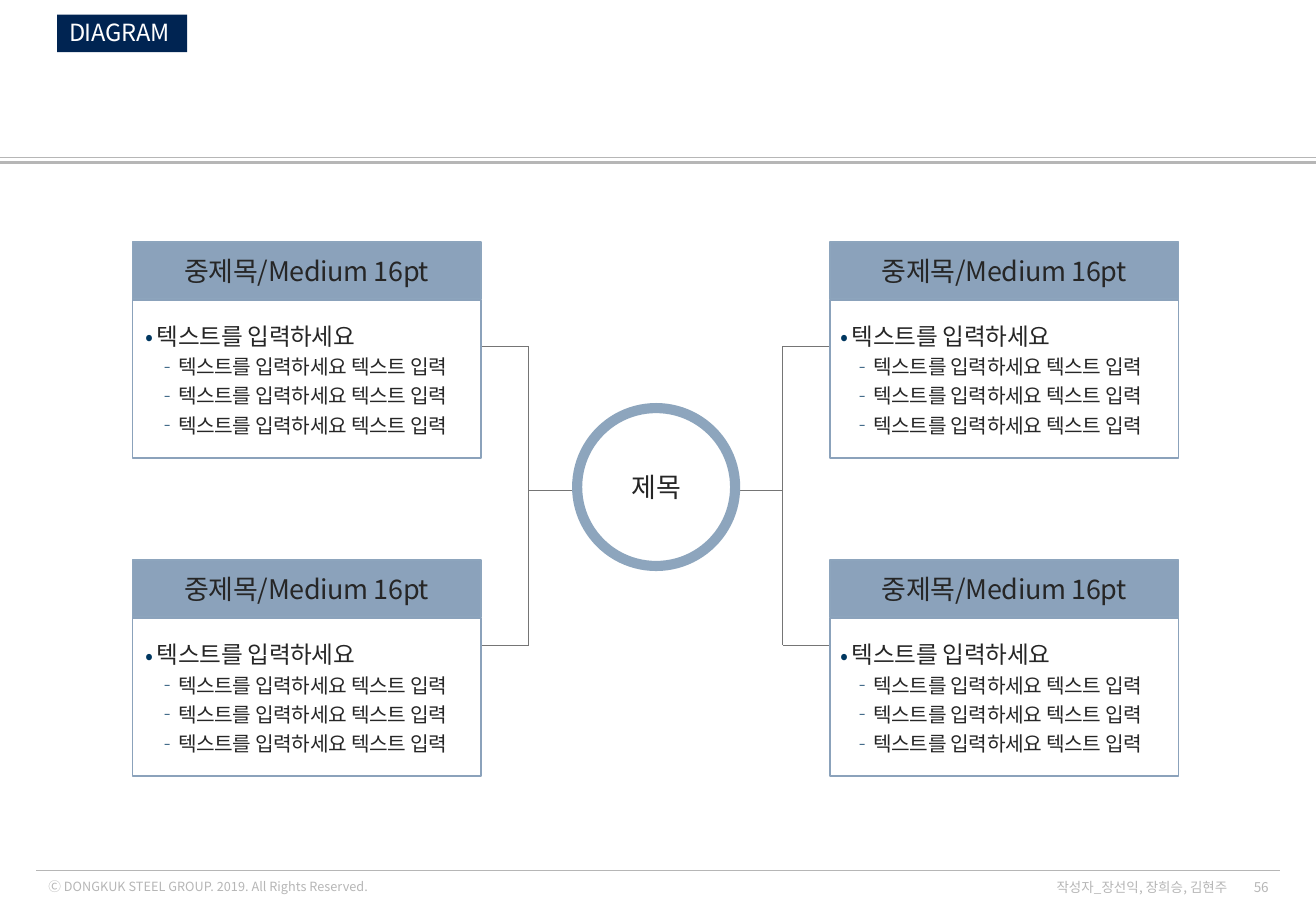
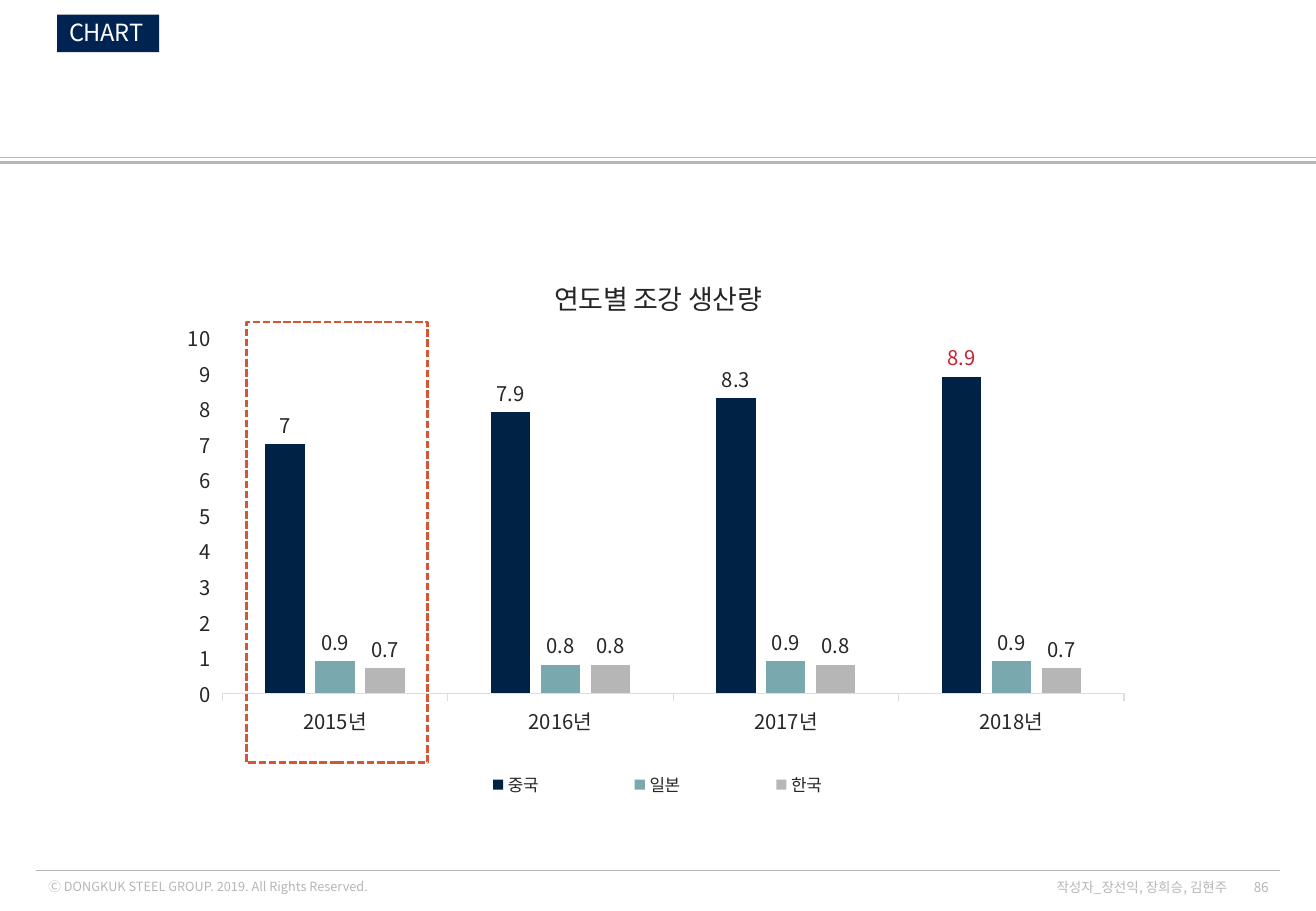
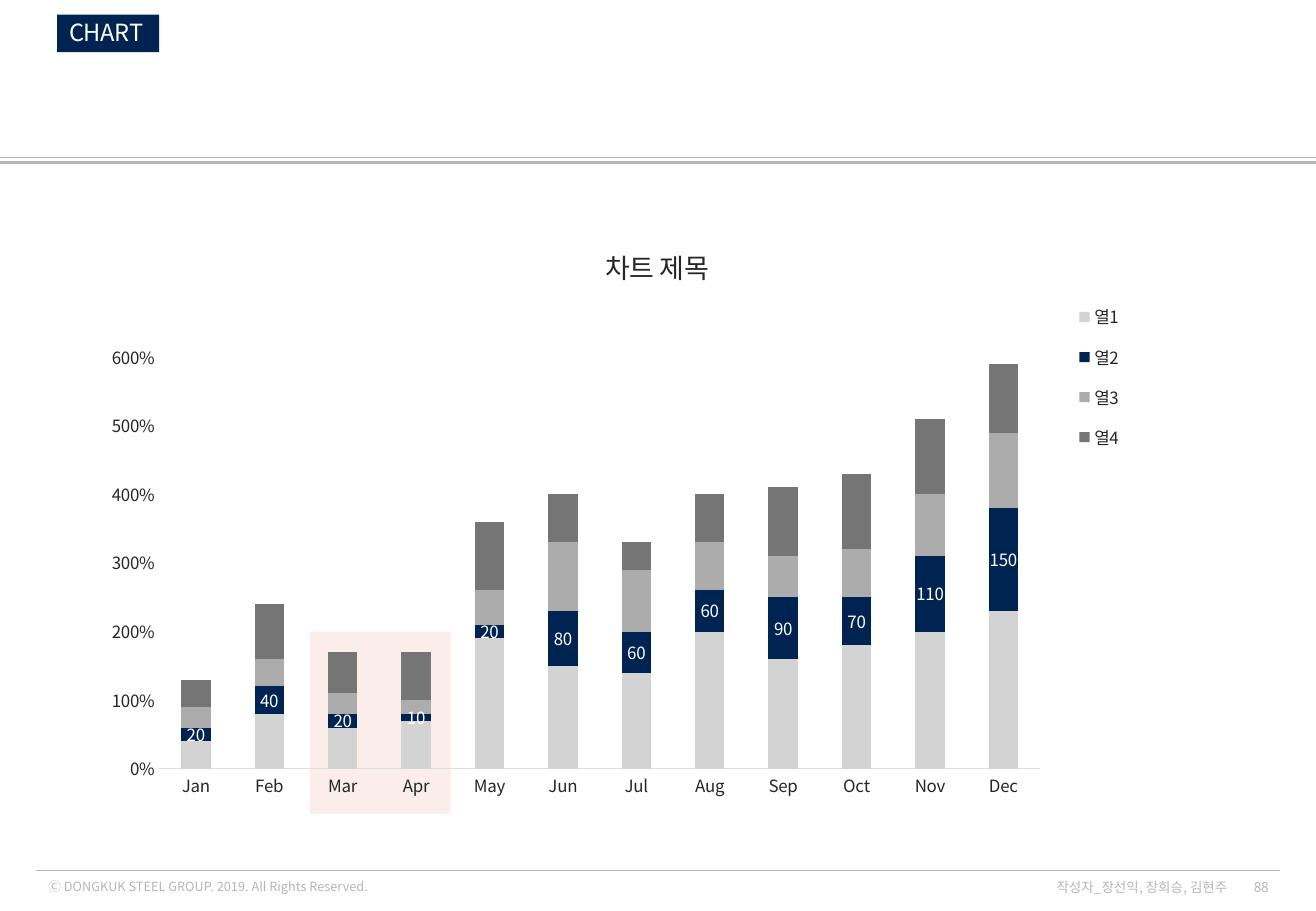
from lxml.etree import SubElement
from pptx import Presentation
from pptx.chart.data import CategoryChartData
from pptx.dml.color import RGBColor
from pptx.enum.chart import XL_CHART_TYPE, XL_LABEL_POSITION, XL_LEGEND_POSITION, XL_TICK_MARK
from pptx.enum.dml import MSO_LINE
from pptx.enum.shapes import MSO_CONNECTOR, MSO_SHAPE
from pptx.enum.text import MSO_ANCHOR, PP_ALIGN
from pptx.oxml import parse_xml
from pptx.oxml.ns import nsdecls, qn
from pptx.util import Inches, Pt

rgb = RGBColor.from_string
FONT = "Noto Sans CJK KR"
NAVY, STEEL, STEEL_EDGE = "002452", "8BA2BB", "8DA5BD"
INK, GREY, DARK_GREY, AXIS = "262626", "B6B6B6", "757575", "DEDEDE"
ORANGE, WHITE = "D55633", "FFFFFF"


def box(slide, at, text="", shape=None, fill=None, line=None, width=1,
        size=16, color=INK, align=PP_ALIGN.LEFT, spacing=0):
    """Add a preset shape, or a text box when no shape is given."""
    at = [Inches(v) for v in at]
    sp = slide.shapes.add_shape(shape, *at) if shape else slide.shapes.add_textbox(*at)
    sp.shadow.inherit = False
    for paint, value in ((sp.fill, fill), (sp.line.fill, line)):
        if value:
            paint.solid()
            paint.fore_color.rgb = rgb(value)
        else:
            paint.background()
    if line:
        sp.line.width = Pt(width)
    tf = sp.text_frame
    tf.word_wrap, tf.vertical_anchor = True, MSO_ANCHOR.MIDDLE
    if text:
        tf.text = text
    for p in tf.paragraphs:
        p.alignment = align
        for r in p.runs:
            r.font.name, r.font.size = FONT, Pt(size)
            r.font.color.rgb = rgb(color)
            rPr = r.font._element
            rPr.set("spc", str(spacing))
            rPr.find(qn("a:latin")).addnext(
                parse_xml(f'<a:ea {nsdecls("a")} typeface="{FONT}"/>'))
    return sp


def place(el, index, at, chart_size, inner=False):
    """Give a chart part a manual layout; at and chart_size are in inches."""
    for old in el.findall(qn("c:layout")):
        el.remove(old)
    layout = parse_xml(f'<c:layout {nsdecls("c")}><c:manualLayout/></c:layout>')
    if inner:
        SubElement(layout[0], qn("c:layoutTarget"), val="inner")
    for mode in ("xMode", "yMode"):
        SubElement(layout[0], qn("c:" + mode), val="edge")
    for name, value, whole in zip("xywh", at, chart_size * 2):
        SubElement(layout[0], qn("c:" + name), val=str(value / whole))
    el.insert(index, layout)


prs = Presentation()
prs.slide_width, prs.slide_height = Inches(10.83), Inches(7.5)
blank = prs.slide_layouts[6]
for ph in list(blank.placeholders):
    ph.element.getparent().remove(ph.element)

# Tab and page number of each slide
slides = []
for title, tab_width, page in (("DIAGRAM", 1.07, 56), ("CHART", 0.84, 86), ("CHART", 0.84, 88)):
    s = prs.slides.add_slide(blank)
    tab = box(s, (0.47, 0.12, tab_width, 0.31), title, MSO_SHAPE.RECTANGLE, NAVY,
              size=14, color=WHITE, spacing=-20)
    tab.text_frame.word_wrap = False
    tab.text_frame.paragraphs[0].line_spacing = 0.9
    box(s, (10.13, 7.22, 0.41, 0.16), str(page), size=8, color=GREY, align=PP_ALIGN.RIGHT)
    slides.append(s)
diagram, yearly, monthly = slides

# Footer texts, moved to the layout that all slides use
for at, text, size, align in (
        ((0.3, 7.18, 3.47, 0.23), "Ⓒ DONGKUK STEEL GROUP. 2019. All Rights Reserved.", 7.5, PP_ALIGN.LEFT),
        ((8.52, 7.22, 1.68, 0.16), "작성자_장선익, 장희승, 김현주", 8, PP_ALIGN.RIGHT)):
    sp = box(diagram, at, text, size=size, color=GREY, align=align)
    blank.shapes.element.append(sp.element)

# Rules of the layout, then the brackets of the diagram
lines = [
    (blank, 0, 1.34, 10.83, 1.34, GREY, 1.5),
    (blank, 0, 1.3, 10.83, 1.3, GREY, 0.5),
    (blank, 0.3, 7.17, 10.53, 7.17, GREY, 0.5),
    (diagram, 4.35, 4.04, 6.44, 4.04, DARK_GREY, 0.5),
]
for trunk, card_edge in ((4.35, 3.95), (6.44, 6.83)):
    lines.append((diagram, trunk, 2.85, trunk, 5.31, DARK_GREY, 0.5))
    for y in (2.85, 5.31):
        lines.append((diagram, trunk, y, card_edge, y, DARK_GREY, 0.5))
for target, x1, y1, x2, y2, color, width in lines:
    c = diagram.shapes.add_connector(
        MSO_CONNECTOR.STRAIGHT, Inches(x1), Inches(y1), Inches(x2), Inches(y2))
    c.line.color.rgb, c.line.width = rgb(color), Pt(width)
    SubElement(c.element.spPr, qn("a:effectLst"))
    target.shapes.element.append(c.element)

# Slide 1: four cards around a circle
box(diagram, (4.75, 3.36, 1.3, 1.3), "제목", MSO_SHAPE.OVAL, WHITE, STEEL_EDGE, 6,
    align=PP_ALIGN.CENTER)
detail = "텍스트를 입력하세요 텍스트 입력"
card_text = "\n".join(["텍스트를 입력하세요"] + [detail] * 3)
for x, inset in ((1.09, 0.11), (6.83, 0.09)):
    for y in (1.99, 4.61):
        box(diagram, (x, y, 2.87, 0.47), "중제목/Medium 16pt", MSO_SHAPE.RECTANGLE,
            STEEL, STEEL_EDGE, align=PP_ALIGN.CENTER, spacing=-20)
        body = box(diagram, (x, y + 0.48, 2.87, 1.3), card_text, MSO_SHAPE.RECTANGLE,
                   WHITE, STEEL, size=12, spacing=-20)
        tf = body.text_frame
        tf.vertical_anchor = MSO_ANCHOR.TOP
        tf.margin_left, tf.margin_top = Inches(inset), Inches(0.13)
        for i, p in enumerate(tf.paragraphs):
            bullet, left, hang = ("‐", 0.2, 0.1) if i else ("•", 0.09, 0.09)
            p.level, p.line_spacing = (2 if i else 1), 1.2
            pPr = p._p.get_or_add_pPr()
            pPr.set("marL", str(Inches(left)))
            pPr.set("indent", str(-Inches(hang)))
            SubElement(SubElement(pPr, qn("a:buClr")), qn("a:srgbClr"), val="003760")
            SubElement(pPr, qn("a:buFont"), typeface=FONT)
            SubElement(pPr, qn("a:buChar"), char=bullet)
        tf.paragraphs[0].runs[0].font.size = Pt(14)

# Slide 3: highlight behind the chart
band = box(monthly, (2.55, 5.2, 1.16, 1.5), shape=MSO_SHAPE.RECTANGLE, fill=ORANGE)
SubElement(band.element.spPr.find(".//" + qn("a:srgbClr")), qn("a:alpha"), val="10000")

# Slides 2 and 3: charts
charts = [
    dict(slide=yearly, at=(1.44, 2.1, 7.95, 4.71), kind=XL_CHART_TYPE.COLUMN_CLUSTERED,
         title="연도별 조강 생산량", title_at=(3.08, 0.13),
         cats=["2015년", "2016년", "2017년", "2018년"],
         series=[("중국", "002244", [7, 7.9, 8.3, 8.9]),
                 ("일본", "79A8AF", [0.9, 0.8, 0.9, 0.9]),
                 ("한국", GREY, [0.7, 0.8, 0.8, 0.7])],
         labelled=(0, 1, 2), label_color=INK, label_at=XL_LABEL_POSITION.OUTSIDE_END,
         gap=219, overlap=-27, size=12, tick=XL_TICK_MARK.OUTSIDE,
         top=10, step=1, number_format="General", plot_at=(0.39, 0.68, 7.42, 2.93),
         legend=XL_LEGEND_POSITION.BOTTOM, legend_at=(1.87, 4.21, 4.2, 0.3)),
    dict(slide=monthly, at=(0.69, 1.97, 9.44, 4.73), kind=XL_CHART_TYPE.COLUMN_STACKED,
         title="차트 제목", title_at=(4.25, 0.01),
         cats=["Jan", "Feb", "Mar", "Apr", "May", "Jun",
               "Jul", "Aug", "Sep", "Oct", "Nov", "Dec"],
         series=[("열1", "D3D3D3", [40, 80, 60, 70, 190, 150, 140, 200, 160, 180, 200, 230]),
                 ("열2", NAVY, [20, 40, 20, 10, 20, 80, 60, 60, 90, 70, 110, 150]),
                 ("열3", "ACACAC", [30, 40, 30, 20, 50, 100, 90, 70, 60, 70, 90, 110]),
                 ("열4", DARK_GREY, [40, 80, 60, 70, 100, 70, 40, 70, 100, 110, 110, 100])],
         labelled=(1,), label_color=WHITE, label_at=XL_LABEL_POSITION.CENTER,
         gap=150, overlap=100, size=10, tick=XL_TICK_MARK.NONE,
         top=600, step=100, number_format='0"%"', plot_at=(0.62, 0.97, 7.25, 3.39),
         legend=XL_LEGEND_POSITION.TOP, legend_at=(8.05, 0.41, 0.61, 1.45)),
]
for spec in charts:
    data = CategoryChartData()
    data.categories = spec["cats"]
    for name, _, values in spec["series"]:
        data.add_series(name, values)
    frame = spec["slide"].shapes.add_chart(
        spec["kind"], *[Inches(v) for v in spec["at"]], data)
    chart = frame.chart
    plot, cat, val = chart.plots[0], chart.category_axis, chart.value_axis

    chart.has_title = chart.has_legend = True
    title = chart.chart_title.text_frame
    title.text = spec["title"]
    legend = chart.legend
    legend.position, legend.include_in_layout = spec["legend"], False
    chart_size = spec["at"][2:]
    place(chart.chart_title.element, 1, spec["title_at"], chart_size)
    place(legend._element, 1, spec["legend_at"], chart_size)
    place(chart.element.find(".//" + qn("c:plotArea")), 0, spec["plot_at"], chart_size, inner=True)

    for axis in (cat, val):
        axis.major_tick_mark = spec["tick"]
        axis.minor_tick_mark = XL_TICK_MARK.NONE
        axis.has_major_gridlines = False
    cat.format.line.color.rgb, cat.format.line.width = rgb(AXIS), Pt(0.75)
    val.format.line.fill.background()
    scale = dict(minimum_scale=0, maximum_scale=spec["top"], major_unit=spec["step"])
    for name, value in scale.items():
        setattr(val, name, value)
    val.tick_labels.number_format = spec["number_format"]
    val.tick_labels.number_format_is_linked = False

    plot.gap_width, plot.overlap, plot.vary_by_categories = spec["gap"], spec["overlap"], False
    fonts = [(chart.font, 10, INK), (title.paragraphs[0].runs[0].font, 16, INK),
             (legend.font, 10, INK), (cat.tick_labels.font, spec["size"], INK),
             (val.tick_labels.font, spec["size"], INK)]
    for i, (ser, (_, color, _)) in enumerate(zip(plot.series, spec["series"])):
        ser.format.fill.solid()
        ser.format.fill.fore_color.rgb = rgb(color)
        ser.invert_if_negative = False
        if i in spec["labelled"]:
            labels = ser.data_labels
            labels.show_value, labels.position = True, spec["label_at"]
            fonts.append((labels.font, spec["size"], spec["label_color"]))
    if spec["slide"] is yearly:
        peak = plot.series[0].points[3].data_label
        peak.position = spec["label_at"]
        fonts.append((peak.font, spec["size"], "C8202F"))
    for font, size, color in fonts:
        for name, value in dict(name=FONT, size=Pt(size), bold=False).items():
            setattr(font, name, value)
        font.color.rgb = rgb(color)
    for latin in list(chart.element.iter(qn("a:latin"))):
        latin.addnext(parse_xml(f'<a:ea {nsdecls("a")} typeface="{FONT}"/>'))

# Slide 2: frame around the first year
focus = box(yearly, (2.03, 2.65, 1.49, 3.63), shape=MSO_SHAPE.RECTANGLE, line=ORANGE, width=1.5)
focus.line.dash_style = MSO_LINE.SQUARE_DOT

prs.save("out.pptx")
